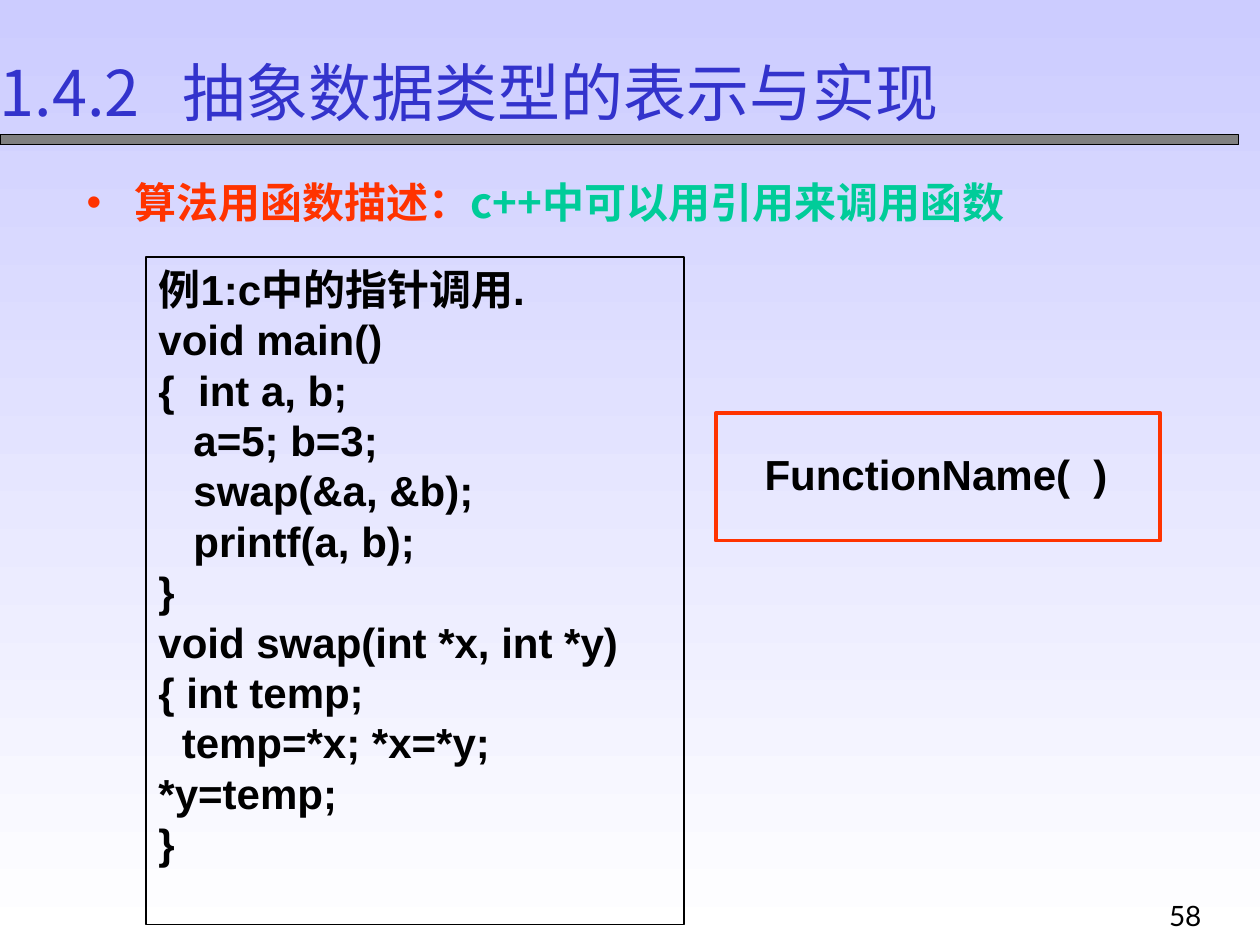
from pptx import Presentation
from pptx.dml.color import RGBColor
from pptx.enum.shapes import MSO_SHAPE
from pptx.enum.text import MSO_ANCHOR, PP_ALIGN
from pptx.oxml.ns import qn
from pptx.util import Inches, Pt
from lxml.etree import SubElement

CJK = "Noto Sans CJK SC"


def color(value):
    return RGBColor.from_string(value)


def add_run(paragraph, text, size, font, value, bold=True):
    run = paragraph.add_run()
    run.text = text
    run.font.size = Pt(size)
    run.font.name = font
    run.font.bold = bold
    run.font.color.rgb = color(value)
    SubElement(run.font._element, qn("a:ea"), typeface=CJK)


prs = Presentation()
prs.slide_width = Inches(10)
prs.slide_height = Inches(7.5)
slide = prs.slides.add_slide(prs.slide_layouts[6])

background = slide.background.fill
background.gradient()
background.gradient_angle = 270
for stop, value, position in zip(background.gradient_stops, ("CCCCFF", "FFFFFF"), (0, 1)):
    stop.color.rgb = color(value)
    stop.position = position

frames = []
for left, top, width, height, fill, line, weight in (
    (0, 1.07, 9.83, 0.08, "808080", "000000", 0.75),
    (1.16, 2.04, 4.27, 5.3, None, "000000", 0.75),
    (5.68, 3.28, 3.53, 1.01, None, "FF3300", 2.25),
):
    frame = slide.shapes.add_shape(
        MSO_SHAPE.RECTANGLE, Inches(left), Inches(top), Inches(width), Inches(height)
    )
    frame.shadow.inherit = False
    if fill:
        frame.fill.solid()
        frame.fill.fore_color.rgb = color(fill)
    else:
        frame.fill.background()
    frame.line.color.rgb = color(line)
    frame.line.width = Pt(weight)
    frames.append(frame)
rule, code_frame, call_frame = frames

title = slide.shapes.add_textbox(0, Inches(0.34), Inches(8.3), Inches(0.7)).text_frame
title.word_wrap = True
title.margin_left = 0
heading = title.paragraphs[0]
heading.line_spacing = Pt(46)
tabs = SubElement(heading._p.get_or_add_pPr(), qn("a:tabLst"))
SubElement(tabs, qn("a:tab"), pos=str(Inches(1.45)), algn="l")
add_run(heading, "1.4.2\t抽象数据类型的表示与实现", 36, CJK, "3333CC", False)

summary = slide.shapes.add_textbox(Inches(0.59), Inches(1.24), Inches(9.14), Inches(0.64)).text_frame
summary.word_wrap = True
point = summary.paragraphs[0]
point.line_spacing = Pt(37)
properties = point._p.get_or_add_pPr()
properties.set("marL", str(Inches(0.38)))
properties.set("indent", str(Inches(-0.38)))
bullet_color = SubElement(properties, qn("a:buClr"))
SubElement(bullet_color, qn("a:srgbClr"), val="FF3300")
SubElement(properties, qn("a:buFont"), typeface="Arial")
SubElement(properties, qn("a:buChar"), char="•")
add_run(point, "算法用函数描述：", 24, CJK, "FF3300")
add_run(point, "c++中可以用引用来调用函数", 24, CJK, "00CC99")

code_lines = (
    "例1:c中的指针调用.",
    "void main()",
    "{  int a, b;",
    "   a=5; b=3;",
    "   swap(&a, &b);",
    "   printf(a, b);",
    "}",
    "void swap(int *x, int *y)",
    "{ int temp;",
    "  temp=*x; *x=*y; *y=temp;",
    "}",
)
code = code_frame.text_frame
code.word_wrap = True
code.vertical_anchor = MSO_ANCHOR.TOP
for index, code_line in enumerate(code_lines):
    statement = code.add_paragraph() if index else code.paragraphs[0]
    statement.alignment = PP_ALIGN.LEFT
    statement.line_spacing = Pt(28.8)
    add_run(statement, code_line, 24, "Arial", "000000")

call = slide.shapes.add_textbox(Inches(5.97), Inches(3.51), Inches(3.2), Inches(0.5)).text_frame
call.word_wrap = True
call.paragraphs[0].line_spacing = Pt(28.8)
add_run(call.paragraphs[0], "FunctionName(  )", 24, "Arial", "000000")

page = slide.shapes.add_textbox(Inches(9.18), Inches(7.08), Inches(0.8), Inches(0.42)).text_frame
page.word_wrap = True
add_run(page.paragraphs[0], "58", 16, "Lato", "000000", False)

prs.save("out.pptx")
